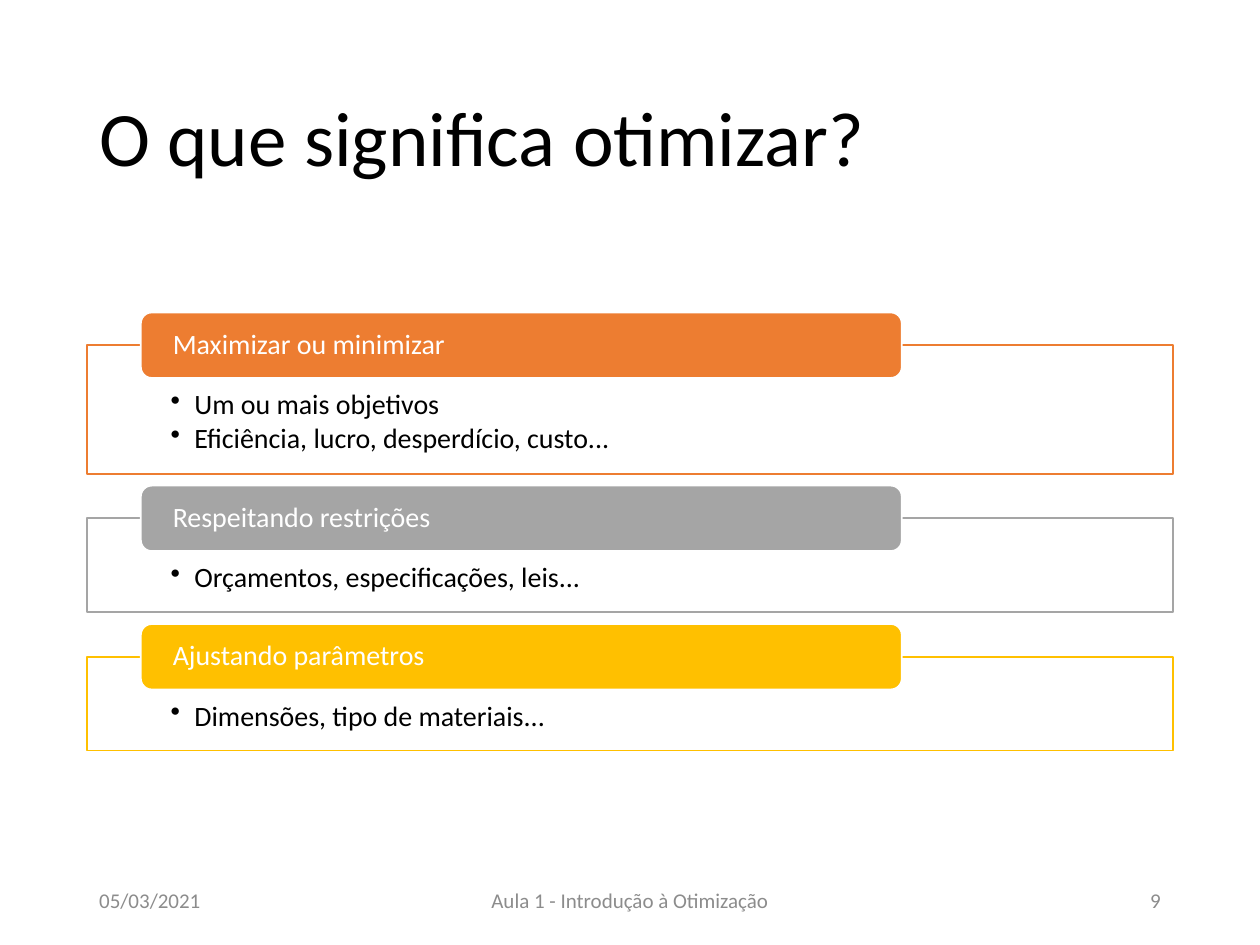
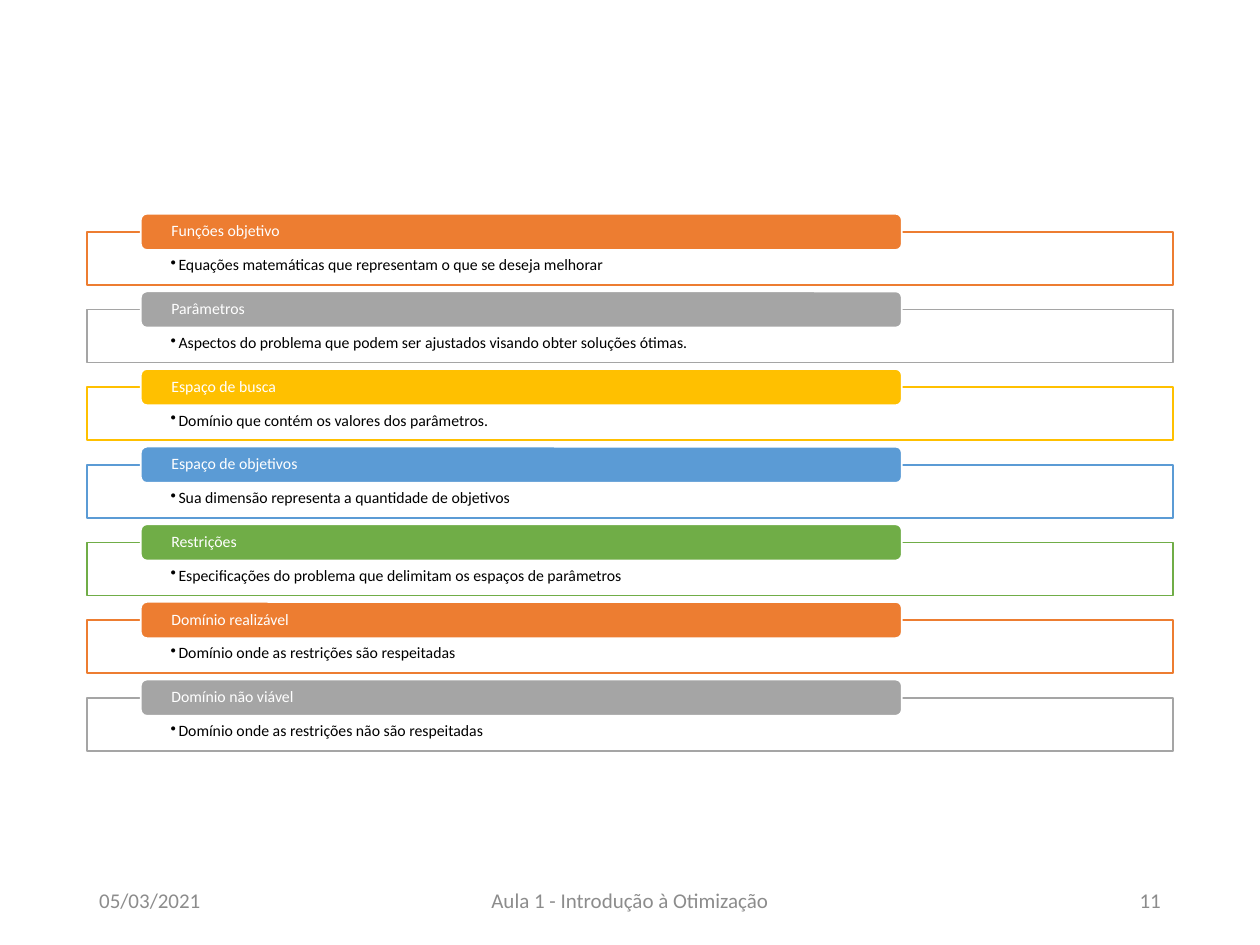
import lxml.etree
import pptx
import pptx.dml.color
import pptx.enum.shapes
import pptx.enum.text
import pptx.oxml.ns
import pptx.util

Cm = pptx.util.Cm
Pt = pptx.util.Pt
RGB = pptx.dml.color.RGBColor
Align = pptx.enum.text.PP_ALIGN
Anchor = pptx.enum.text.MSO_ANCHOR
Shape = pptx.enum.shapes.MSO_SHAPE

# Content
DATE = "05/03/2021"
LECTURE = "Aula 1 - Introdução à Otimização"

MEANING = [
    ("Maximizar ou minimizar",
     ["Um ou mais objetivos", "Eficiência, lucro, desperdício, custo..."]),
    ("Respeitando restrições", ["Orçamentos, especificações, leis..."]),
    ("Ajustando parâmetros", ["Dimensões, tipo de materiais..."]),
]
CONCEPTS = [
    ("Funções objetivo",
     ["Equações matemáticas que representam o que se deseja melhorar"]),
    ("Parâmetros",
     ["Aspectos do problema que podem ser ajustados visando obter soluções ótimas."]),
    ("Espaço de busca", ["Domínio que contém os valores dos parâmetros."]),
    ("Espaço de objetivos", ["Sua dimensão representa a quantidade de objetivos"]),
    ("Restrições",
     ["Especificações do problema que delimitam os espaços de parâmetros"]),
    ("Domínio realizável", ["Domínio onde as restrições são respeitadas"]),
    ("Domínio não viável", ["Domínio onde as restrições não são respeitadas"]),
]

# Lengths in cm, text sizes in points
LARGE = dict(top=6.3, header=1.32, frame=1.89, extra_line=0.7, gap=0.24,
             size=16, inset=0.91, indent=0.48)
SMALL = dict(top=4.31, header=0.73, frame=1.07, extra_line=0.4, gap=0.13,
             size=9, inset=0.51, indent=0.16)

PAGES = [
    dict(number="9", title="O que significa otimizar?", sections=MEANING, style=LARGE),
    dict(number="11", title=None, sections=CONCEPTS, style=SMALL),
]

# Shared look
FONT = "Calibri"
BLACK = RGB(0x00, 0x00, 0x00)
WHITE = RGB(0xFF, 0xFF, 0xFF)
FOOTER_GREY = RGB(0x8C, 0x8C, 0x8C)
ACCENTS = [
    RGB(0xED, 0x7D, 0x31),
    RGB(0xA5, 0xA5, 0xA5),
    RGB(0xFF, 0xC0, 0x00),
    RGB(0x5B, 0x9B, 0xD5),
    RGB(0x70, 0xAD, 0x47),
]
LEFT, WIDTH = 1.75, 21.9
HEADER_LEFT, HEADER_WIDTH = 2.84, 15.34
FOOTER_TOP, FOOTER_HEIGHT = 17.65, 1.01


def write(shape, lines, size, color, align=Align.LEFT, anchor=Anchor.MIDDLE,
          insets=(0.25, 0.13, 0.25, 0.13), spacing=1.0, bullet_indent=None):
    frame = shape.text_frame
    frame.word_wrap = True
    frame.vertical_anchor = anchor
    (frame.margin_left, frame.margin_top,
     frame.margin_right, frame.margin_bottom) = map(Cm, insets)
    for index, line in enumerate(lines):
        para = frame.paragraphs[0] if index == 0 else frame.add_paragraph()
        para.text = line
        if bullet_indent:
            properties = para._p.get_or_add_pPr()
            properties.set("marL", str(Cm(bullet_indent)))
            properties.set("indent", str(-Cm(bullet_indent)))
            bullet = lxml.etree.SubElement(properties, pptx.oxml.ns.qn("a:buChar"))
            bullet.set("char", "•")
            para.space_after = Pt(round(size * 0.12))
        para.alignment = align
        para.line_spacing = spacing
        para.font.name = FONT
        para.font.size = Pt(size)
        para.font.color.rgb = color


def add_text(page, left, top, width, height, text, size, color, **options):
    box = page.shapes.add_textbox(Cm(left), Cm(top), Cm(width), Cm(height))
    write(box, [text], size, color, **options)


def add_panel(page, kind, left, top, width, height, fill, line):
    panel = page.shapes.add_shape(kind, Cm(left), Cm(top), Cm(width), Cm(height))
    panel.shadow.inherit = False
    panel.fill.solid()
    panel.fill.fore_color.rgb = fill
    panel.line.color.rgb = line
    panel.line.width = Pt(1)
    return panel


def add_sections(page, sections, style):
    top = style["top"]
    for index, (heading, points) in enumerate(sections):
        accent = ACCENTS[index % len(ACCENTS)]
        # Each header straddles the top edge of its frame
        frame_top = top + style["header"] / 2
        frame_height = style["frame"] + style["extra_line"] * (len(points) - 1)
        frame = add_panel(page, Shape.RECTANGLE, LEFT, frame_top, WIDTH,
                          frame_height, WHITE, accent)
        write(frame, points, style["size"], BLACK, anchor=Anchor.TOP, spacing=0.9,
              insets=(1.69, style["inset"], 1.69, 0.18),
              bullet_indent=style["indent"])
        header = add_panel(page, Shape.ROUNDED_RECTANGLE, HEADER_LEFT, top,
                           HEADER_WIDTH, style["header"], accent, WHITE)
        write(header, [heading], style["size"], WHITE, spacing=0.9,
              insets=(0.58, 0, 0.58, 0))
        top = frame_top + frame_height + style["gap"]


def add_footer(page, number):
    for left, width, text, align in [
        (LEFT, 5.72, DATE, Align.LEFT),
        (8.41, 8.58, LECTURE, Align.CENTER),
        (17.93, 5.72, number, Align.RIGHT),
    ]:
        add_text(page, left, FOOTER_TOP, width, FOOTER_HEIGHT, text, 12,
                 FOOTER_GREY, align=align)


def main():
    deck = pptx.Presentation()
    deck.slide_width, deck.slide_height = Cm(25.4), Cm(19.05)
    for content in PAGES:
        page = deck.slides.add_slide(deck.slide_layouts[6])
        if content["title"]:
            add_text(page, LEFT, 1.01, WIDTH, 3.68, content["title"], 44, BLACK,
                     spacing=0.9)
        add_sections(page, content["sections"], content["style"])
        add_footer(page, content["number"])
    deck.save("out.pptx")


if __name__ == "__main__":
    main()
